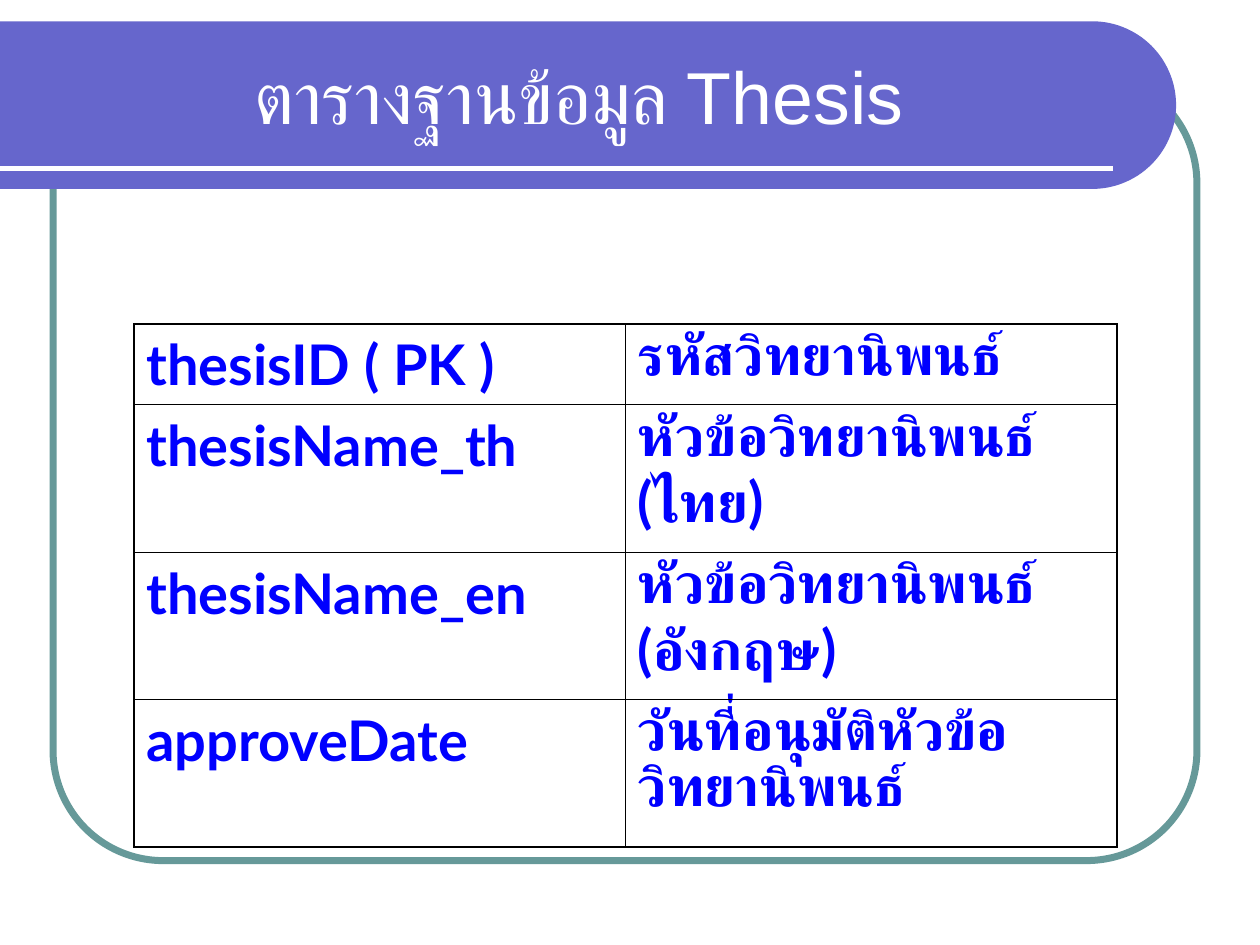
from math import cos, pi, sin

from lxml.etree import SubElement
from pptx import Presentation
from pptx.dml.color import RGBColor
from pptx.enum.shapes import MSO_CONNECTOR as Connector, MSO_SHAPE as Shape
from pptx.enum.text import MSO_ANCHOR as Anchor, PP_ALIGN as Align
from pptx.oxml.ns import qn
from pptx.util import Cm, Pt

TITLE = "ตารางฐานข้อมูล Thesis"
FIELDS = [
    ("thesisID ( PK )", "รหัสวิทยานิพนธ์"),
    ("thesisName_th", "หัวข้อวิทยานิพนธ์ (ไทย)"),
    ("thesisName_en", "หัวข้อวิทยานิพนธ์ (อังกฤษ)"),
    ("approveDate", "วันที่อนุมัติหัวข้อวิทยานิพนธ์"),
]

WHITE = RGBColor(0xFF, 0xFF, 0xFF)
BLACK = RGBColor(0, 0, 0)
BLUE = RGBColor(0, 0, 0xFF)
PURPLE = RGBColor(0x66, 0x66, 0xCC)
TEAL = RGBColor(0x66, 0x99, 0x99)

TITLE_FONT = {"name": "Arial", "size": Pt(42), "bold": False}
CELL_FONT = {"name": "Lato", "size": Pt(32), "bold": True}
MARGINS = {"margin_left": Cm(0.25), "margin_right": Cm(0.25),
           "margin_top": Cm(0.13), "margin_bottom": Cm(0.13)}

BANNER_TOP, BANNER_RIGHT, BANNER_RADIUS = 0.43, 23.71, 1.69
COLUMN_WIDTH = Cm(9.91)
ROW_HEIGHTS = [Cm(1.63)] + [Cm(2.97)] * 3
OUTER, INNER = Pt(1.08), Pt(0.45)


def set_all(target, values):
    for name, value in values.items():
        setattr(target, name, value)


def format_text(paragraph, font_values, color):
    set_all(paragraph.font, font_values)
    paragraph.font.color.rgb = color


def add_frame(slide):
    frame = slide.shapes.add_shape(
        Shape.ROUNDED_RECTANGLE, Cm(1.07), Cm(1.47), Cm(23.06), Cm(15.88))
    frame.adjustments[0] = 0.14
    frame.shadow.inherit = False
    frame.fill.background()
    frame.line.color.rgb = TEAL
    frame.line.width = Pt(4)


def add_banner(slide):
    """Draw the title band with its half-round right end and white rule."""
    steps = 60
    center_x = BANNER_RIGHT - BANNER_RADIUS
    center_y = BANNER_TOP + BANNER_RADIUS
    angles = [pi * (step / steps - 0.5) for step in range(steps + 1)]
    arc = [(Cm(center_x + BANNER_RADIUS * cos(angle)),
            Cm(center_y + BANNER_RADIUS * sin(angle))) for angle in angles]
    builder = slide.shapes.build_freeform(0, Cm(BANNER_TOP))
    builder.add_line_segments(arc + [(0, Cm(BANNER_TOP + 2 * BANNER_RADIUS))])
    banner = builder.convert_to_shape()
    banner.shadow.inherit = False
    banner.fill.solid()
    banner.fill.fore_color.rgb = PURPLE
    banner.line.fill.background()

    rule = slide.shapes.add_connector(
        Connector.STRAIGHT, 0, Cm(3.39), Cm(22.44), Cm(3.39))
    rule.line.color.rgb = WHITE
    rule.line.width = Pt(3)
    SubElement(rule.element.spPr, qn("a:effectLst"))


def place_title(slide):
    title = slide.shapes.title
    set_all(title, {"left": Cm(0.53), "top": Cm(0.64),
                    "width": Cm(22.28), "height": Cm(2.54)})
    frame = title.text_frame
    frame.text = TITLE
    set_all(frame, MARGINS)
    frame.vertical_anchor = Anchor.MIDDLE
    paragraph = frame.paragraphs[0]
    paragraph.alignment = Align.CENTER
    format_text(paragraph, TITLE_FONT, WHITE)
    slide.shapes.element.append(title.element)  # in front of the banner


def set_borders(cell, widths):
    properties = cell._tc.get_or_add_tcPr()
    for position, (side, width) in enumerate(widths.items()):
        line = properties.makeelement(qn(f"a:{side}"), {"w": str(int(width))})
        fill = SubElement(line, qn("a:solidFill"))
        SubElement(fill, qn("a:srgbClr"), val=str(BLACK))
        properties.insert(position, line)


def add_field_table(slide):
    rows, columns = len(FIELDS), len(FIELDS[0])
    table = slide.shapes.add_table(
        rows, columns, Cm(2.7), Cm(6.53),
        COLUMN_WIDTH * columns, sum(ROW_HEIGHTS)).table
    set_all(table, {"first_row": False, "horz_banding": False})
    for column in table.columns:
        column.width = COLUMN_WIDTH
    for r, (height, texts) in enumerate(zip(ROW_HEIGHTS, FIELDS)):
        table.rows[r].height = height
        for c, text in enumerate(texts):
            cell = table.cell(r, c)
            cell.text = text
            set_all(cell, MARGINS)
            cell.fill.background()
            format_text(cell.text_frame.paragraphs[0], CELL_FONT, BLUE)
            set_borders(cell, {
                "lnL": OUTER if c == 0 else INNER,
                "lnR": OUTER if c == columns - 1 else INNER,
                "lnT": OUTER if r == 0 else INNER,
                "lnB": OUTER if r == rows - 1 else INNER,
            })


def main():
    presentation = Presentation()
    presentation.slide_width = Cm(25.4)
    presentation.slide_height = Cm(19.05)
    slide = presentation.slides.add_slide(presentation.slide_layouts[5])
    add_frame(slide)
    add_banner(slide)
    place_title(slide)
    add_field_table(slide)
    presentation.save("out.pptx")


if __name__ == "__main__":
    main()
